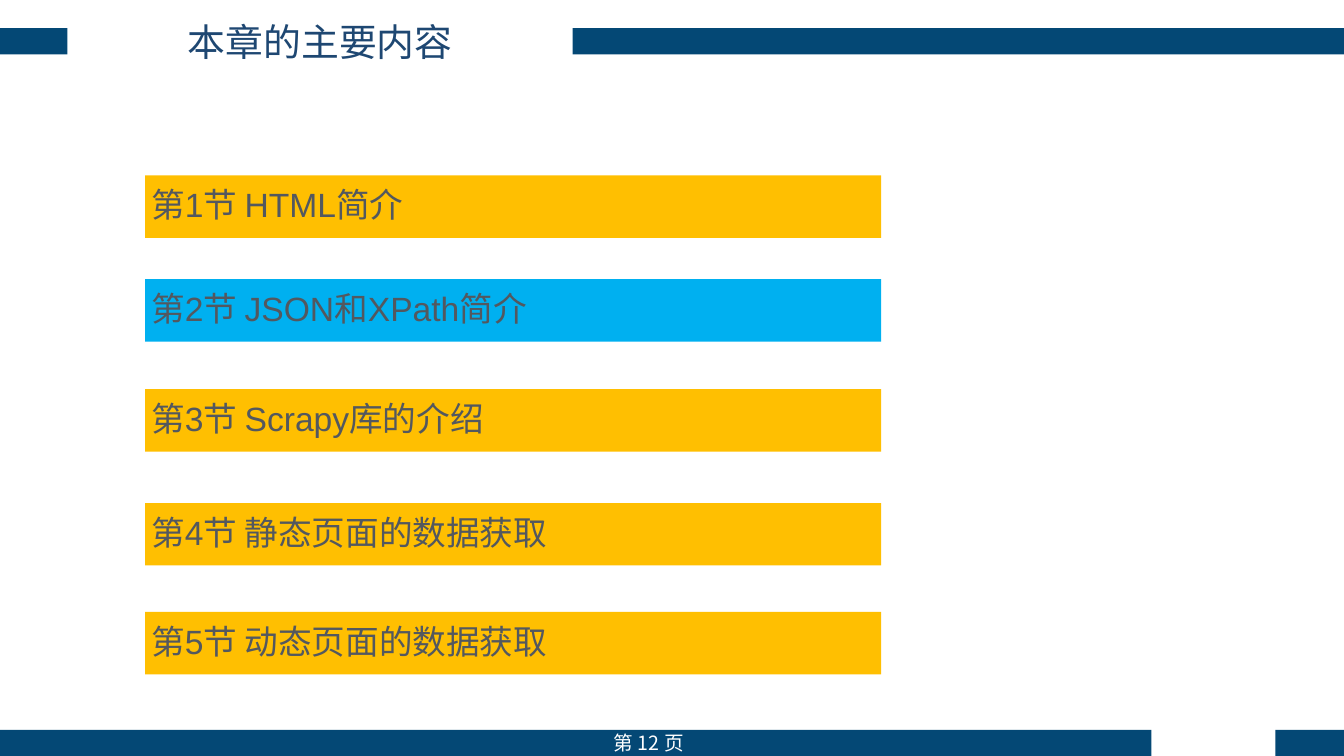
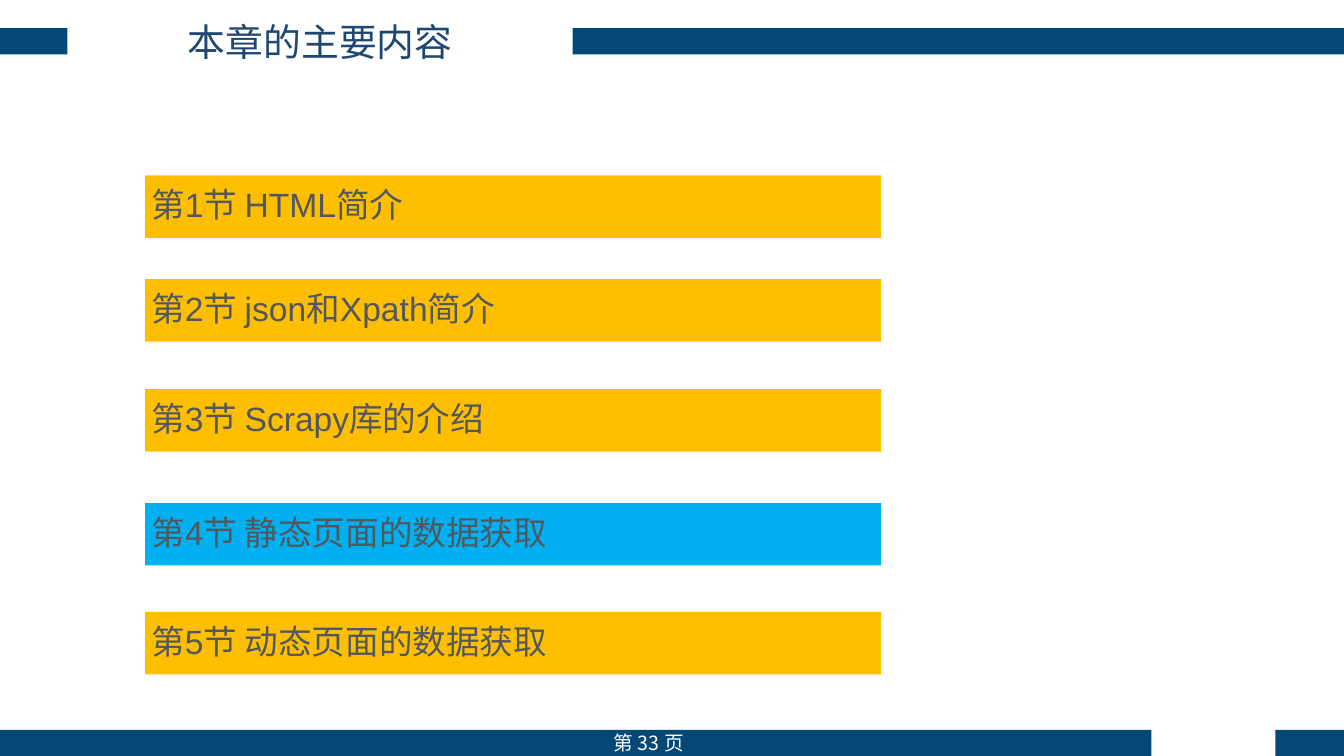
from dataclasses import dataclass

from lxml import etree
from pptx import Presentation
from pptx.dml.color import RGBColor
from pptx.enum import shapes, text
from pptx.oxml.ns import qn
from pptx.util import Inches, Pt

TITLE = "本章的主要内容"
SLIDES = [
    {
        "page": 12,
        "current": 2,
        "sections": ["HTML简介", "JSON和XPath简介", "Scrapy库的介绍",
                     "静态页面的数据获取", "动态页面的数据获取"],
    },
    {
        "page": 33,
        "current": 4,
        "sections": ["HTML简介", "json和Xpath简介", "Scrapy库的介绍",
                     "静态页面的数据获取", "动态页面的数据获取"],
    },
]


@dataclass(frozen=True)
class Theme:
    navy: str = "044875"
    title: str = "1E4772"
    amber: str = "FFBF01"
    blue: str = "00B0F0"
    gray: str = "53585F"
    white: str = "FFFFFF"
    latin: str = "Arial"
    cjk: str = "Noto Sans CJK SC"
    title_size: int = 27
    section_size: int = 24
    footer_size: int = 14


THEME = Theme()
WIDTH, HEIGHT = 13.33, 7.5
BAND_H = 0.26
TITLE_LEFT, TITLE_RIGHT = 0.67, 5.68
TOP_BAND_Y = 0.28
FOOTER_Y = HEIGHT - BAND_H
BANDS = [
    (0, TOP_BAND_Y, TITLE_LEFT),
    (TITLE_RIGHT, TOP_BAND_Y, WIDTH - TITLE_RIGHT),
    (0, FOOTER_Y, 11.42),
    (12.65, FOOTER_Y, WIDTH - 12.65),
]
SECTION_X, SECTION_W, SECTION_H = 1.44, 7.3, 0.62
SECTION_TOPS = [1.74, 2.77, 3.86, 4.99, 6.07]


def add_rect(s, x, y, w, h, color):
    sp = s.shapes.add_shape(shapes.MSO_SHAPE.RECTANGLE,
                            Inches(x), Inches(y), Inches(w), Inches(h))
    sp.shadow.inherit = False
    sp.fill.solid()
    sp.fill.fore_color.rgb = RGBColor.from_string(color)
    sp.line.fill.background()
    return sp


def add_box(s, x, y, w, h):
    return s.shapes.add_textbox(Inches(x), Inches(y), Inches(w), Inches(h))


def write(sp, content, size, color, font, align, anchor, inset):
    tf = sp.text_frame
    tf.text = content
    tf.word_wrap = True
    tf.vertical_anchor = anchor
    tf.margin_left = tf.margin_right = Inches(inset)
    tf.margin_top = tf.margin_bottom = Inches(inset)
    p = tf.paragraphs[0]
    p.alignment = align
    r = p.runs[0]
    r.font.size = Pt(size)
    r.font.color.rgb = RGBColor.from_string(color)
    r.font.name = font
    ea = etree.Element(qn("a:ea"), typeface=THEME.cjk)
    r.font._element.find(qn("a:latin")).addnext(ea)
    return p


def add_frame(s, page):
    for x, y, w in BANDS:
        add_rect(s, x, y, w, BAND_H, THEME.navy)
    write(add_box(s, 5.8, 7.2, 1.27, 0.34), f"第 {page} 页",
          THEME.footer_size, THEME.white, THEME.cjk,
          text.PP_ALIGN.CENTER, text.MSO_ANCHOR.TOP, 0.05)
    write(add_box(s, TITLE_LEFT, 0.13, TITLE_RIGHT - TITLE_LEFT, 0.56), TITLE,
          THEME.title_size, THEME.title, THEME.cjk,
          text.PP_ALIGN.CENTER, text.MSO_ANCHOR.MIDDLE, 0.05)


def add_sections(s, sections, current):
    for number, (name, top) in enumerate(zip(sections, SECTION_TOPS), 1):
        color = THEME.blue if number == current else THEME.amber
        sp = add_rect(s, SECTION_X, top, SECTION_W, SECTION_H, color)
        p = write(sp, f"第{number}节 {name}", THEME.section_size, THEME.gray,
                  THEME.latin, text.PP_ALIGN.LEFT, text.MSO_ANCHOR.MIDDLE, 0.06)
        p.line_spacing = 0.9


def main():
    prs = Presentation()
    prs.slide_width, prs.slide_height = Inches(WIDTH), Inches(HEIGHT)
    for content in SLIDES:
        s = prs.slides.add_slide(prs.slide_layouts[6])
        add_frame(s, content["page"])
        add_sections(s, content["sections"], content["current"])
    prs.save("out.pptx")


if __name__ == "__main__":
    main()
